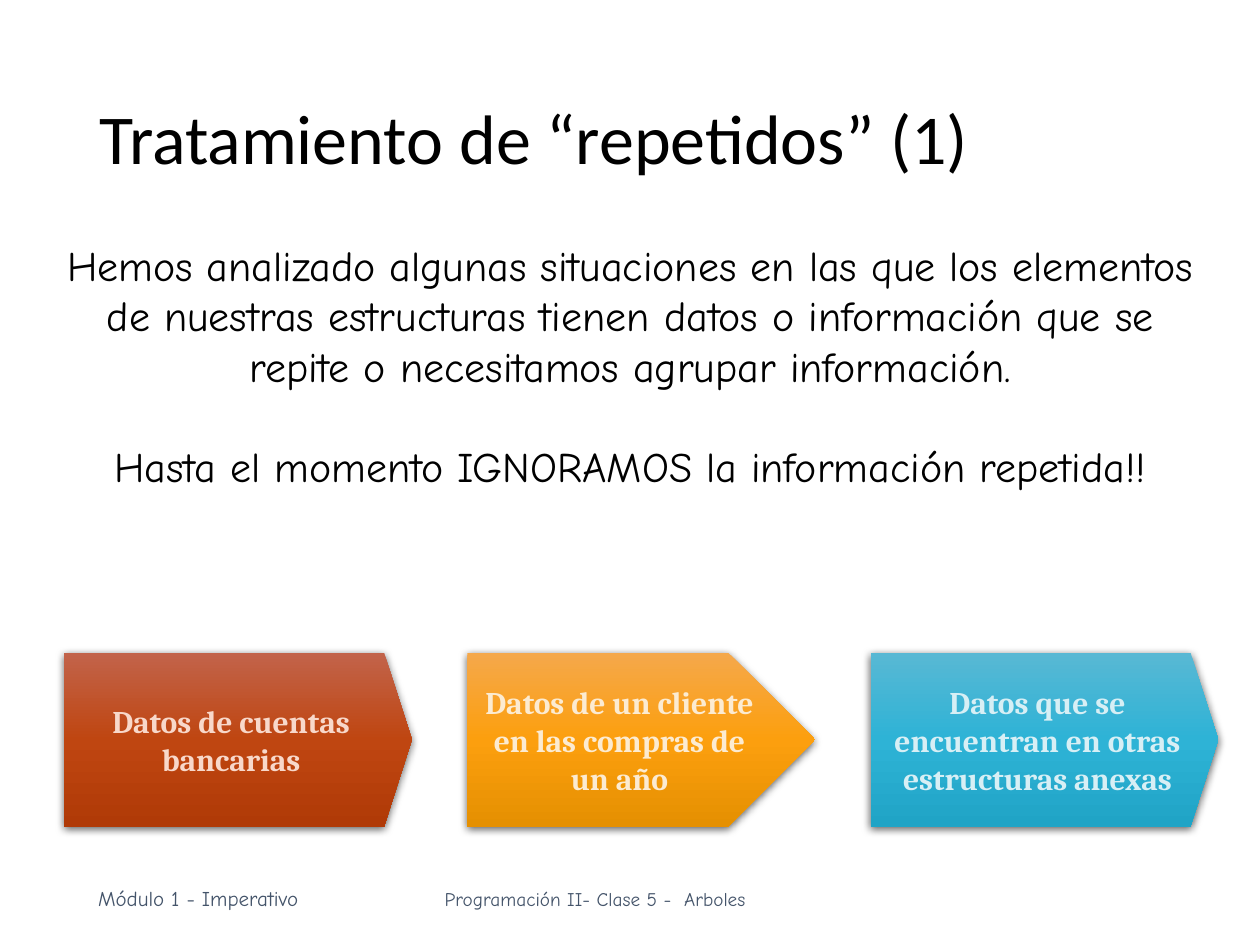
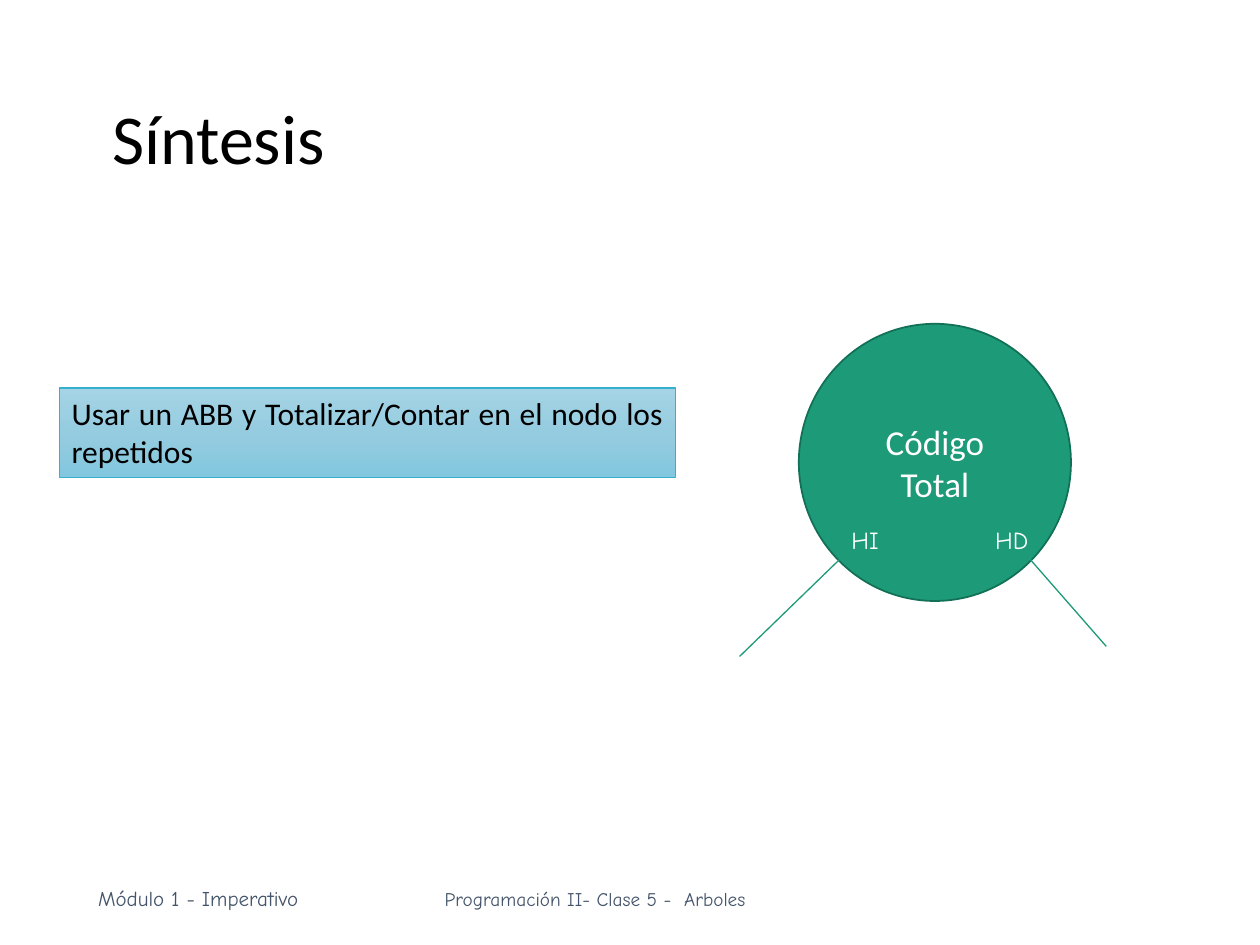
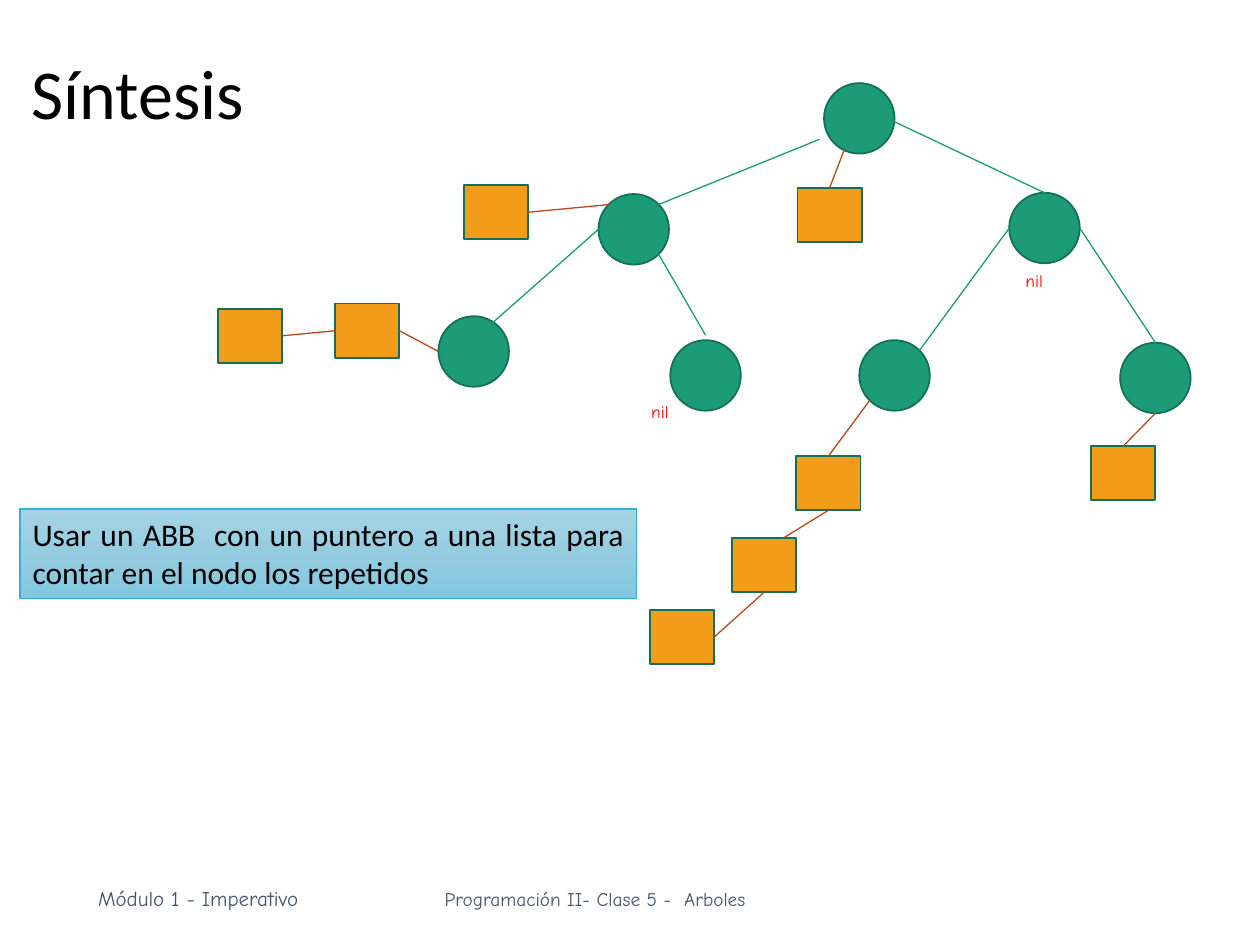
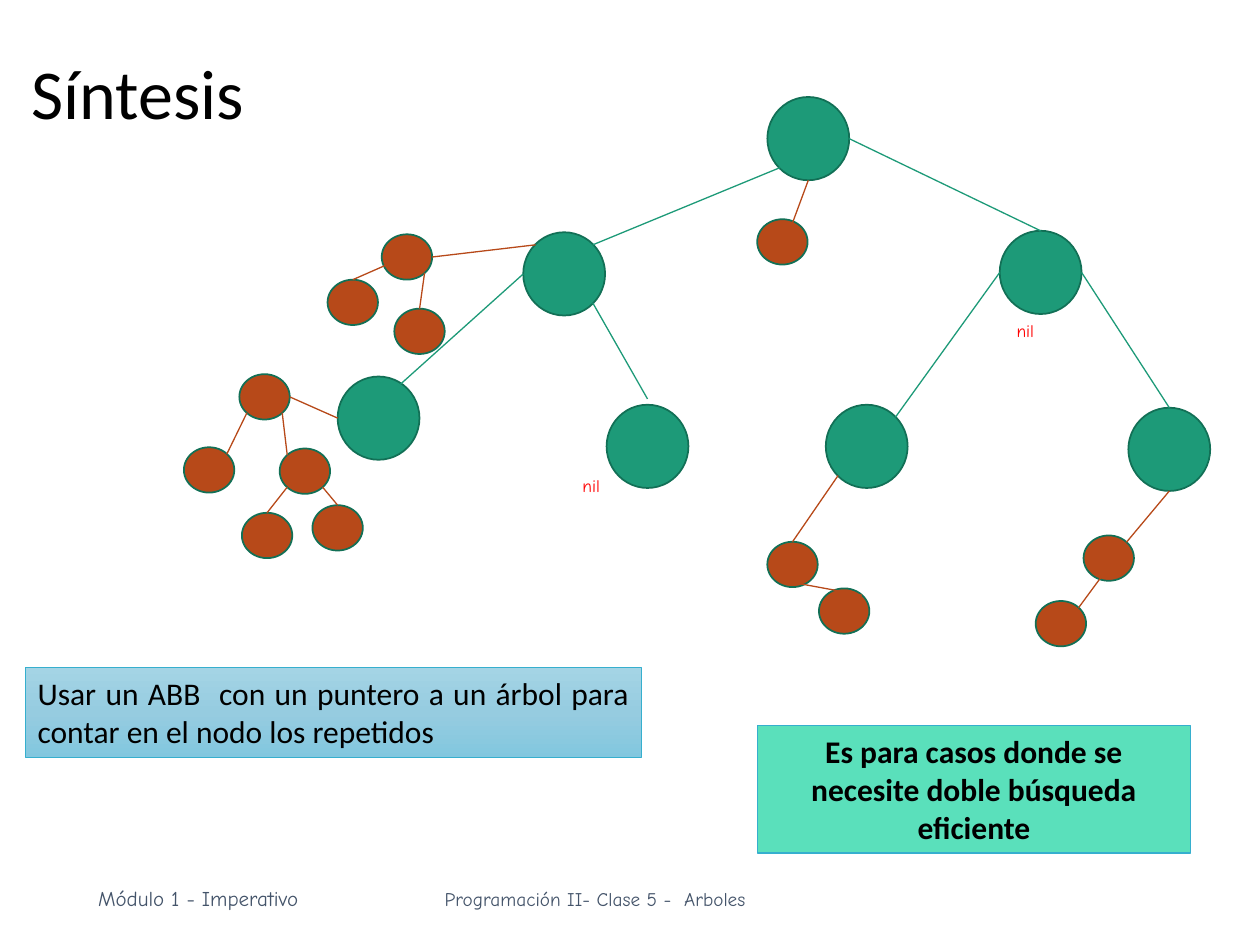
from copy import deepcopy

from lxml import etree
from pptx import Presentation
from pptx import util as u
from pptx.dml import color as dml
from pptx.enum import shapes, text
from pptx.oxml import ns

COLUMNS, ROWS = 100, 75
CELL = u.Inches(0.1)

COLOURS = {
    "ink": "000000",
    "white": "FFFFFF",
    "footer": "44546A",
    "node": "1D9A78",
    "outline": "127056",
    "leaf": "B74919",
    "square": "F19D19",
    "note_line": "36AFCE",
    "remark": "5AE0BB",
    "nil": "FF0000",
}
NOTE_FADE = ("A4D4E5", "96CCE0", "82C7DF")
CASES = [
    ("Datos de cuentas bancarias", 0.16, "F8D8CA", ("C2634A", "BF4611", "B03A07")),
    ("Datos de un cliente en las compras de un año", 0.5, "FCEBD1", ("F5A84B", "FC9F0E", "E59001")),
    ("Datos que se encuentran en otras estructuras anexas", 0.16, "D7EFF5", ("58B8D4", "2EB3D6", "20A4C6")),
]
BODY, HAND, SERIF = "Calibri", "Comic Neue", "Cambria"
LEFT, CENTRE, JUSTIFY = text.PP_ALIGN.LEFT, text.PP_ALIGN.CENTER, text.PP_ALIGN.JUSTIFY
ELLIPSE, RECTANGLE = shapes.MSO_SHAPE.OVAL, shapes.MSO_SHAPE.RECTANGLE

SITES = {
    "n": (0.5, 0), "ne": (0.85, 0.15), "e": (1, 0.5), "se": (0.85, 0.85),
    "s": (0.5, 1), "sw": (0.15, 0.85), "w": (0, 0.5), "nw": (0.15, 0.15),
}
JOINTS = {"n": 0, "w": 1, "s": 2, "e": 3}

NODE_SIZE = 5.6
TREE_NODES = {
    "root": (29.4, 0),
    "left": (12.7, 9.1),
    "right": (45.3, 9),
    "far left": (0, 18.8),
    "inner left": (18.4, 20.7),
    "inner right": (33.4, 20.7),
    "far right": (54.1, 20.9),
}
TREE_EDGES = [
    (("root", "sw"), ("left", "ne")),
    (("left", "w"), ("far left", (0.77, 0.09))),
    (("left", "se"), ("inner left", (0.5, -0.07))),
    (("root", "e"), ("right", "n")),
    (("right", "w"), ("inner right", "ne")),
    (("right", "e"), ("far right", "n")),
]
NIL_LABELS = [(15.9, 25), (45.6, 14.6)]

SQUARES = {
    "left 1": (36.8, 14.7),
    "root 1": (63.3, 14.9),
    "far left 1": (26.6, 24.1),
    "far left 2": (17.3, 24.5),
    "inner right 1": (63.2, 36.2),
    "inner right 2": (58.1, 42.7),
    "inner right 3": (51.6, 48.4),
    "far right 1": (86.6, 35.4),
}
LIST_EDGES = [
    (("root", "s"), ("root 1", "n")),
    (("left", "nw"), ("left 1", "e")),
    (("far left", "w"), ("far left 1", "e")),
    (("far left 1", "w"), ("far left 2", "e")),
    (("inner right", "sw"), ("inner right 1", "n")),
    (("inner right 1", "s"), ("inner right 2", (0.8, 0))),
    (("inner right 2", "s"), ("inner right 3", "e")),
    (("far right", "s"), ("far right 1", "n")),
]

LEAVES = {
    "left 1": (30.3, 18.6),
    "left 2": (26, 22.2),
    "left 3": (31.3, 24.5),
    "far left 1": (19, 29.7),
    "far left 2": (14.6, 35.5),
    "far left 3": (22.2, 35.6),
    "far left 4": (19.2, 40.7),
    "far left 5": (24.8, 40.1),
    "inner right 1": (60.9, 43),
    "inner right 2": (65, 46.7),
    "far right 1": (86, 42.5),
    "far right 2": (82.2, 47.7),
    "root 1": (60.1, 17.4),
}
SUBTREE_EDGES = [
    (("root", "s"), ("root 1", (0.68, 0.14))),
    (("left", "nw"), ("left 1", "e")),
    (("left 1", (0.1, 0.67)), ("left 2", "n")),
    (("left 1", "se"), ("left 3", "n")),
    (("far left", "w"), ("far left 1", "e")),
    (("far left 1", "sw"), ("far left 2", "ne")),
    (("far left 1", "se"), ("far left 3", "nw")),
    (("far left 3", "sw"), ("far left 4", "n")),
    (("far left 3", "se"), ("far left 5", "n")),
    (("inner right", "sw"), ("inner right 1", "n")),
    (("inner right 1", (0.33, 0.86)), ("inner right 2", "ne")),
    (("far right", "s"), ("far right 1", "ne")),
    (("far right 1", (0.42, 0.81)), ("far right 2", "ne")),
]


def cells(*lengths):
    return [round(length * CELL) for length in lengths]


def rgb(name):
    return dml.RGBColor.from_string(COLOURS.get(name, name))


def write(frame, lines, size, font=BODY, colour="ink", align=LEFT, bold=False,
          anchor=text.MSO_ANCHOR.TOP):
    frame.text = "\n".join(lines)
    frame.word_wrap = True
    frame.auto_size = text.MSO_AUTO_SIZE.NONE
    frame.vertical_anchor = anchor
    for paragraph in frame.paragraphs:
        paragraph.alignment = align
        paragraph.font.size = u.Pt(size)
        paragraph.font.name = font
        paragraph.font.bold = bold
        paragraph.font.color.rgb = rgb(colour)
    return frame


def label(slide, box, lines, size, **style):
    area = slide.shapes.add_textbox(*cells(*box))
    write(area.text_frame, lines, size, **style)
    return area


def figure(slide, kind, box, fill=None, line=None, weight=1):
    part = slide.shapes.add_shape(kind, *cells(*box))
    part.shadow.inherit = False
    if fill:
        part.fill.solid()
        part.fill.fore_color.rgb = rgb(fill)
    if line:
        part.line.color.rgb = rgb(line)
        part.line.width = u.Pt(weight)
    else:
        part.line.fill.background()
    return part


def fade(part, colours):
    part.fill.gradient()
    part.fill.gradient_angle = 270
    stops = part.element.spPr.find(".//" + ns.qn("a:gsLst"))
    stops.insert(1, deepcopy(stops[0]))
    for stop, position, colour in zip(part.fill.gradient_stops, (0, 0.5, 1), colours):
        stop.position = position
        stop.color.rgb = rgb(colour)


def drop_shadow(part):
    effects = part.element.spPr.find(ns.qn("a:effectLst"))
    shadow = etree.SubElement(effects, ns.qn("a:outerShdw"), blurRad=str(u.Pt(5)),
                              dist=str(u.Pt(1.5)), dir="5400000", rotWithShape="0")
    tint = etree.SubElement(shadow, ns.qn("a:srgbClr"), val=COLOURS["ink"])
    etree.SubElement(tint, ns.qn("a:alpha"), val="63000")


def rule(slide, start, end, colour):
    stroke = slide.shapes.add_connector(shapes.MSO_CONNECTOR.STRAIGHT, *cells(*start, *end))
    stroke.line.color.rgb = rgb(colour)
    stroke.line.width = u.Pt(0.75)
    etree.SubElement(stroke.element.spPr, ns.qn("a:effectLst"))
    return stroke


def site_point(box, site):
    left, top, width, height = box
    across, down = SITES[site] if site in SITES else site
    return left + across * width, top + down * height


def link(slide, parts, edges, colour):
    for (source, leaving), (target, entering) in edges:
        (source_box, source_part), (target_box, target_part) = parts[source], parts[target]
        stroke = rule(slide, site_point(source_box, leaving),
                      site_point(target_box, entering), colour)
        if source_part.auto_shape_type == RECTANGLE and leaving in JOINTS:
            stroke.begin_connect(source_part, JOINTS[leaving])
        if target_part.auto_shape_type == RECTANGLE and entering in JOINTS:
            stroke.end_connect(target_part, JOINTS[entering])


def place(slide, kind, spots, size, fill):
    parts = {}
    for name, spot in spots.items():
        box = (*spot, *size)
        parts[name] = box, figure(slide, kind, box, fill, "outline")
    return parts


def tree(slide, origin, scale=(1, 1), root_shift=(0, 0)):
    def spread(spot):
        return tuple(o + s * v for o, s, v in zip(origin, scale, spot))

    spots = {name: spread(spot) for name, spot in TREE_NODES.items()}
    size = [NODE_SIZE * s for s in scale]
    nodes = place(slide, ELLIPSE, spots, size, "node")
    link(slide, nodes, TREE_EDGES, "node")
    root = nodes["root"][1]
    right, down = cells(*root_shift)
    root.left += right
    root.top += down
    for spot in NIL_LABELS:
        label(slide, (*spread(spot), 7.2 * scale[0], 3.8 * scale[1]), ["nil"], 10,
              font=HAND, colour="nil")
    return nodes


def note(slide, left, top, words):
    panel = figure(slide, RECTANGLE, (left, top, 48.9, 7.1), line="note_line", weight=0.75)
    fade(panel, NOTE_FADE)
    write(panel.text_frame, [words], 18, align=JUSTIFY)


def titled_slide(deck, words, left, top):
    slide = deck.slides.add_slide(deck.slide_layouts[5])
    title = slide.shapes.title
    title.left, title.top, title.width, title.height = cells(left, top, 86.2, 14.5)
    frame = write(title.text_frame, [words], 40, anchor=text.MSO_ANCHOR.MIDDLE)
    frame.paragraphs[0].line_spacing = 0.9
    return slide


def share_footers(slide):
    layout = slide.slide_layout
    for holder in list(layout.placeholders):
        if holder.placeholder_format.type != shapes.PP_PLACEHOLDER.TITLE:
            layout.shapes.element.remove(holder.element)
    footers = [
        ((34.3, 69.9, 27.5, 2.9), "Programación II- Clase 5 -  Arboles", 11),
        ((6.8, 69.8, 19.2, 3), "Módulo 1 - Imperativo", 12),
    ]
    for box, words, size in footers:
        footer = label(slide, box, [words], size, font=HAND, colour="footer")
        layout.shapes.element.append(footer.element)


def repeated_data(deck):
    slide = titled_slide(deck, "Tratamiento de “repetidos” (1)", 6.9, 4)
    share_footers(slide)
    intro = label(slide, (3.5, 18.5, 93, 29.3), [
        "Hemos analizado algunas situaciones en las que los elementos de nuestras "
        "estructuras tienen datos o información que se repite o necesitamos agrupar información.",
        "Hasta el momento IGNORAMOS la información repetida!!",
    ], 24, font=HAND, align=CENTRE)
    intro.text_frame.paragraphs[1].space_before = u.Pt(28.7)
    for column, (words, point, ink, colours) in enumerate(CASES):
        case = figure(slide, shapes.MSO_SHAPE.PENTAGON, (5.1 + 32 * column, 51.8, 27.6, 13.8))
        case.adjustments[0] = point
        fade(case, colours)
        drop_shadow(case)
        frame = write(case.text_frame, [words], 18, font=SERIF, colour=ink, align=CENTRE,
                      bold=True, anchor=text.MSO_ANCHOR.MIDDLE)
        frame.margin_left = frame.margin_right = u.Inches(0.04)
        frame.margin_top = frame.margin_bottom = 0


def counting_node(deck):
    slide = titled_slide(deck, "Síntesis", 7.9, 4)
    note(slide, 4.7, 30.8, "Usar un ABB y Totalizar/Contar en el nodo los repetidos")
    box = (63.4, 25.7, 21.6, 22)
    node = figure(slide, ELLIPSE, box, "node", "outline")
    write(node.text_frame, ["Código", "Total"], 20, colour="white", align=CENTRE,
          anchor=text.MSO_ANCHOR.MIDDLE)
    children = [("HI", 66.6, "sw", (58.7, 52.1)), ("HD", 78, "se", (87.8, 51.3))]
    for name, left, site, end in children:
        rule(slide, site_point(box, site), end, "node")
        label(slide, (left, 41.2, 6.7, 3.4), [name], 14, font=HAND, colour="white")


def tree_of_lists(deck):
    slide = titled_slide(deck, "Síntesis", 1.5, 0.4)
    note(slide, 1.6, 40.4,
         "Usar un ABB  con un puntero a una lista para contar en el nodo los repetidos")
    nodes = tree(slide, (34.8, 6.3), root_shift=(1.2, 0.3))
    squares = place(slide, RECTANGLE, SQUARES, (5.1, 4.3), "square")
    link(slide, {**nodes, **squares}, LIST_EDGES, "leaf")


def tree_of_trees(deck):
    slide = titled_slide(deck, "Síntesis", 1.5, 0.4)
    note(slide, 2, 53,
         "Usar un ABB  con un puntero a un árbol para contar en el nodo los repetidos")
    nodes = tree(slide, (26.8, 7.7), scale=(1.16, 1.18))
    leaves = place(slide, ELLIPSE, LEAVES, (4, 3.6), "leaf")
    link(slide, {**nodes, **leaves}, SUBTREE_EDGES, "leaf")
    remark = figure(slide, RECTANGLE, (60.1, 57.6, 34.4, 10.1), "remark", "note_line", 0.75)
    write(remark.text_frame, ["Es para casos donde se necesite doble búsqueda eficiente"], 18,
          align=CENTRE, bold=True)


def main():
    deck = Presentation()
    deck.slide_width, deck.slide_height = cells(COLUMNS, ROWS)
    repeated_data(deck)
    counting_node(deck)
    tree_of_lists(deck)
    tree_of_trees(deck)
    deck.save("out.pptx")


if __name__ == "__main__":
    main()
